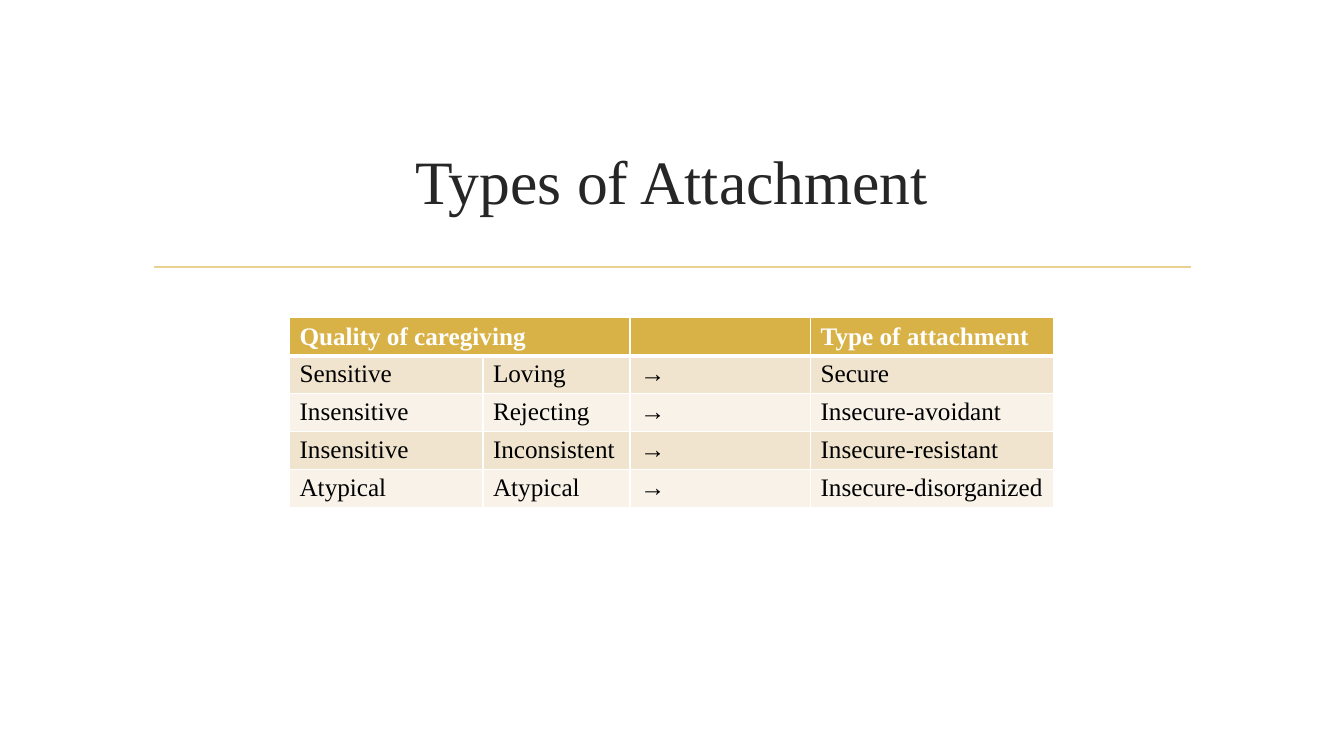
from lxml import etree
from pptx import Presentation
from pptx.dml.color import RGBColor
from pptx.enum.shapes import MSO_CONNECTOR
from pptx.enum.text import MSO_ANCHOR, PP_ALIGN
from pptx.oxml.ns import qn
from pptx.util import Pt

STRAIGHT = MSO_CONNECTOR.STRAIGHT
TOP, MIDDLE, BOTTOM = MSO_ANCHOR.TOP, MSO_ANCHOR.MIDDLE, MSO_ANCHOR.BOTTOM
LEFT, CENTER = PP_ALIGN.LEFT, PP_ALIGN.CENTER
TITLE_ONLY = 5

CAREGIVING = [
    ("Quality of caregiving", "", "", "Type of attachment"),
    ("Sensitive", "Loving", "→", "Secure"),
    ("Insensitive", "Rejecting", "→", "Insecure-avoidant"),
    ("Insensitive", "Inconsistent", "→", "Insecure-resistant"),
    ("Atypical", "Atypical", "→", "Insecure-disorganized"),
]


def rgb(code):
    return RGBColor.from_string(code)


class SlideBuilder:
    font = "Times New Roman"
    ink, black, white = "262626", "000000", "FFFFFF"
    gold, rule_gold = "D9B247", "E8D191"
    bands = ("F1E4CF", "F8F2E9")

    def __init__(self, slide):
        self.slide = slide

    def set_text(self, frame, text, size=18, color=black, bold=False, align=LEFT):
        paragraph = frame.paragraphs[0]
        paragraph.alignment = align
        if not text:
            # An empty cell keeps the table's text size, so its row does not grow.
            end = etree.SubElement(paragraph._p, qn("a:endParaRPr"), sz=str(size * 100))
            etree.SubElement(end, qn("a:latin"), typeface=self.font)
            return
        run = paragraph.add_run()
        run.text = text
        run.font.name = self.font
        run.font.size = Pt(size)
        run.font.bold = bold
        run.font.color.rgb = rgb(color)

    def title(self, text, left, top, width, height):
        heading = self.slide.shapes.title
        heading.left, heading.top = Pt(left), Pt(top)
        heading.width, heading.height = Pt(width), Pt(height)
        heading.text_frame.vertical_anchor = MIDDLE
        self.set_text(heading.text_frame, text, size=44, color=self.ink, align=CENTER)

    def rule(self, left, right, y, weight):
        divider = self.slide.shapes.add_connector(STRAIGHT, Pt(left), Pt(y), Pt(right), Pt(y))
        divider.line.color.rgb = rgb(self.rule_gold)
        divider.line.width = Pt(weight)
        etree.SubElement(divider._element.spPr, qn("a:effectLst"))

    def border(self, cell, bottom):
        """Put white lines round a cell, ahead of its fill as the schema asks."""
        weights = {"a:lnL": 1, "a:lnR": 1, "a:lnT": 1, "a:lnB": bottom}
        properties = cell._tc.get_or_add_tcPr()
        for place, (tag, weight) in enumerate(weights.items()):
            edge = etree.Element(qn(tag), w=str(Pt(weight)))
            fill = etree.SubElement(edge, qn("a:solidFill"))
            etree.SubElement(fill, qn("a:srgbClr"), val=self.white)
            properties.insert(place, edge)

    def table(self, rows, left, top, widths, row_height):
        grid = self.slide.shapes.add_table(
            len(rows), len(widths), Pt(left), Pt(top),
            Pt(sum(widths)), Pt(row_height * len(rows))).table
        for column, width in zip(grid.columns, widths):
            column.width = Pt(width)
        for r, texts in enumerate(rows):
            header = r == 0
            grid.rows[r].height = Pt(row_height)
            for c, text in enumerate(texts):
                cell = grid.cell(r, c)
                cell.margin_top = cell.margin_bottom = Pt(3.2)
                cell.vertical_anchor = BOTTOM if header else TOP
                cell.fill.solid()
                cell.fill.fore_color.rgb = rgb(self.gold if header else self.bands[(r - 1) % 2])
                self.border(cell, bottom=3 if header else 1)
                self.set_text(cell.text_frame, text, bold=header,
                              color=self.white if header else self.black)
        grid.cell(0, 0).merge(grid.cell(0, 1))


def main():
    deck = Presentation()
    deck.slide_width, deck.slide_height = Pt(960), Pt(540)
    builder = SlideBuilder(deck.slides.add_slide(deck.slide_layouts[TITLE_ONLY]))
    builder.rule(left=110, right=850.5, y=190.8, weight=1.25)
    builder.title("Types of Attachment", left=102, top=77, width=756, height=103)
    builder.table(CAREGIVING, left=206.8, top=227, widths=(138.2, 105, 129, 173.6), row_height=27.1)
    deck.save("out.pptx")


if __name__ == "__main__":
    main()
